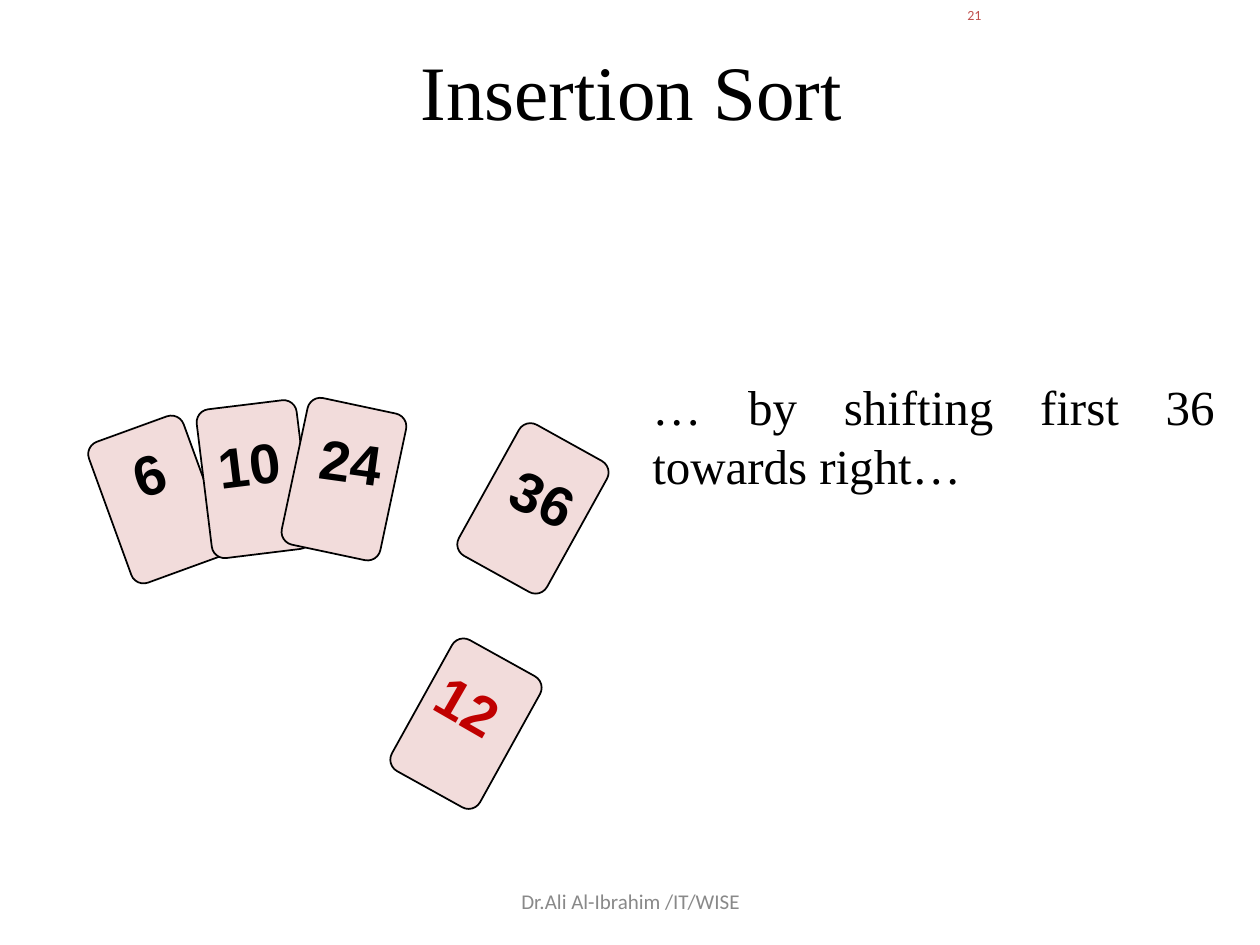
import pptx
import pptx.util
import pptx.dml.color
import pptx.enum.shapes
import pptx.enum.text

Cm = pptx.util.Cm
Pt = pptx.util.Pt
align = pptx.enum.text.PP_ALIGN
anchor = pptx.enum.text.MSO_ANCHOR
hues = {"card": "F2DCDB", "ink": "000000", "key": "C00000",
        "page": "C0504D", "foot": "898989"}


def rgb(name):
    return pptx.dml.color.RGBColor.from_string(hues[name])


def write(text, left, top, wide, high, size, face, hue,
          side=align.LEFT, hold=anchor.TOP, wrap=True):
    box = slide.shapes.add_textbox(Cm(left), Cm(top), Cm(wide), Cm(high))
    frame = box.text_frame
    frame.text = text
    frame.word_wrap = wrap
    frame.vertical_anchor = hold
    frame.paragraphs[0].alignment = side
    font = frame.paragraphs[0].runs[0].font
    font.size = Pt(size)
    font.name = face
    font.color.rgb = rgb(hue)
    return box


deck = pptx.Presentation()
deck.slide_width = Cm(25.4)
deck.slide_height = Cm(19.05)
slide = deck.slides.add_slide(deck.slide_layouts[6])

write("21", 19.25, 0, 2.67, 1.27, 8, "Calibri", "page")
write("Insertion Sort", 4.55, 0.53, 16.36, 2.34, 44, "Times New Roman", "ink",
      align.CENTER, anchor.BOTTOM)

cards = [(2.16, 8.56, 340), (4.11, 8.15, 353), (5.92, 8.15, 12),
         (9.73, 8.74, 29), (8.38, 13.08, 29)]
for left, top, turn in cards:
    card = slide.shapes.add_shape(
        pptx.enum.shapes.MSO_SHAPE.ROUNDED_RECTANGLE,
        Cm(left), Cm(top), Cm(2.03), Cm(3.02))
    card.adjustments[0] = 0.13
    card.rotation = turn
    card.shadow.inherit = False
    card.fill.solid()
    card.fill.fore_color.rgb = rgb("card")
    card.line.color.rgb = rgb("ink")
    card.line.width = Pt(1)

labels = [("6", 2.44, 8.74, 1.14, 341, "ink"),
          ("10", 4.14, 8.53, 1.78, 353, "ink"),
          ("24", 6.2, 8.48, 1.78, 8, "ink"),
          ("36", 10.08, 9.22, 1.78, 25, "ink"),
          ("12", 8.56, 13.41, 1.78, 30, "key")]
for text, left, top, wide, turn, hue in labels:
    label = write(text, left, top, wide, 1.6, 32, "Arial", hue, wrap=False)
    label.rotation = turn
    label.text_frame.paragraphs[0].runs[0].font.bold = True

write("… by shifting first 36 towards right…", 12.9, 7.47, 11.84, 2.64,
      28, "Times New Roman", "ink", align.JUSTIFY)
write("Dr.Ali Al-Ibrahim /IT/WISE", 8.69, 17.65, 8.05, 1.02,
      12, "Calibri", "foot", align.CENTER, anchor.MIDDLE)

deck.save("out.pptx")
